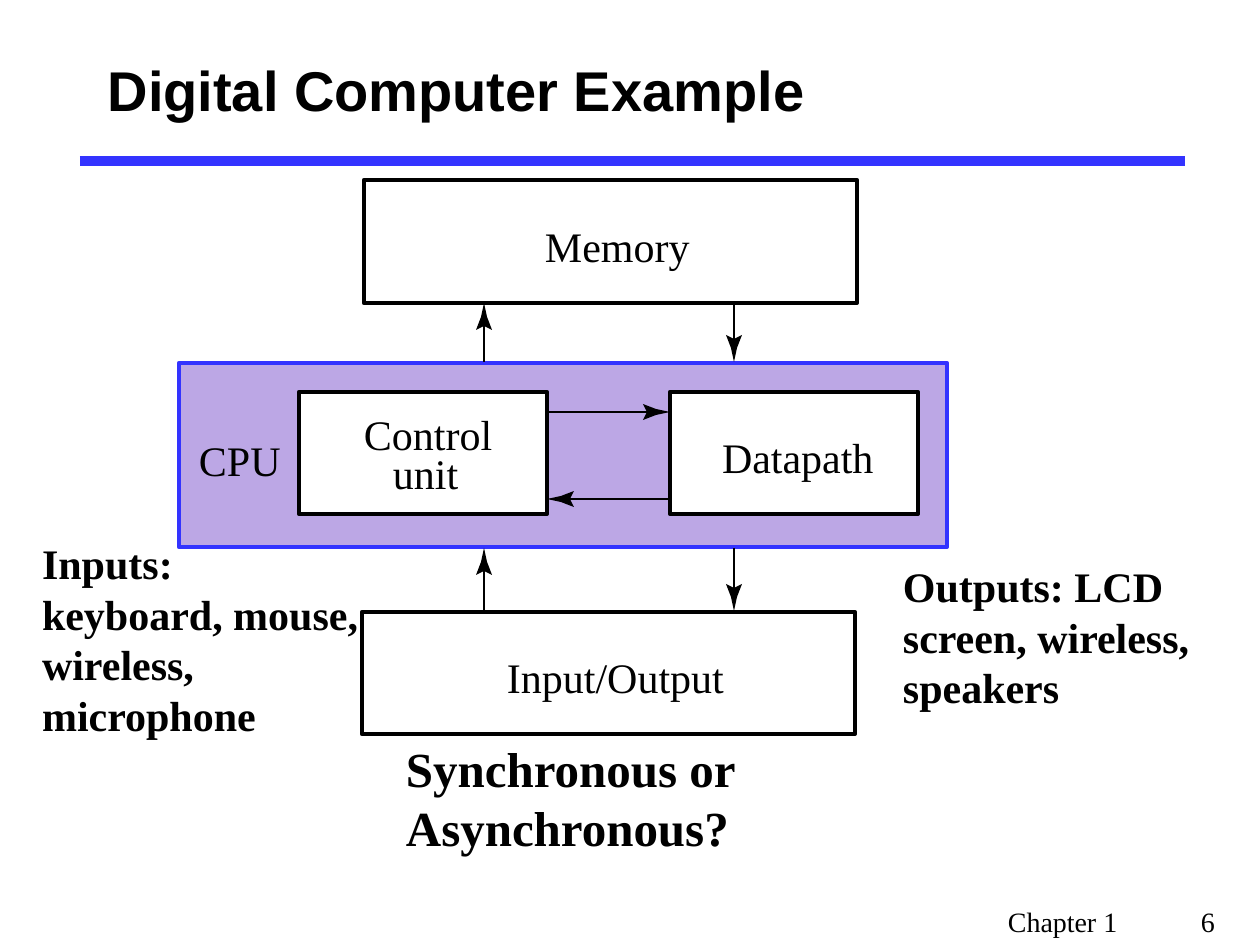
from math import hypot

from lxml.etree import SubElement
from pptx import Presentation
from pptx.dml.color import RGBColor
from pptx.enum.shapes import MSO_CONNECTOR as CONN, MSO_SHAPE as SHAPE
from pptx.enum.text import MSO_ANCHOR as ANCHOR, PP_ALIGN as ALIGN
from pptx.oxml.ns import qn
from pptx.util import Emu, Pt

SCALE = 914400 / 126
COLORS = {"ink": "000000", "paper": "FFFFFF", "accent": "3333FF", "cpu": "BCA7E5"}
SERIF, SANS = "Times New Roman", "Arial"
INSET_X, INSET_Y = 13, 6
HEAD = [(0, 0), (-14, 3), (-27, 8), (-23, 0), (-27, -8), (-14, -3)]


def px(n):
    return Emu(round(n * SCALE))


def rgb(name):
    return RGBColor.from_string(COLORS[name])


def style(p, font, size, bold=False):
    for r in p.runs:
        r.font.name, r.font.size, r.font.bold = font, Pt(size), bold
        r.font.color.rgb = rgb("ink")


def add_title(s, text, x, y, w, h):
    sp = s.shapes.title
    sp.left, sp.top, sp.width, sp.height = map(px, (x, y, w, h))
    tf = sp.text_frame
    tf.text = text
    tf.vertical_anchor = ANCHOR.MIDDLE
    p = tf.paragraphs[0]
    p.alignment = ALIGN.LEFT
    style(p, SANS, 32, True)


def add_text(s, text, x, y, w, h, size=24, bold=False, inset=True):
    """Add serif text; without inset it is a one-line label that never wraps."""
    sp = s.shapes.add_textbox(*map(px, (x, y, w, h)))
    tf = sp.text_frame
    tf.word_wrap = inset
    tf.margin_left = tf.margin_right = px(INSET_X if inset else 0)
    tf.margin_top = tf.margin_bottom = px(INSET_Y if inset else 0)
    tf.text = text
    p = tf.paragraphs[0]
    p.alignment = ALIGN.LEFT
    p.line_spacing = Pt(size * 1.2)
    style(p, SERIF, size, bold)
    return p


def add_footer(s, chapter, number):
    p = add_text(s, f"{chapter}\t{number}", 995, 898, 264, 47, size=16)
    tabs = SubElement(p._p.get_or_add_pPr(), qn("a:tabLst"))
    SubElement(tabs, qn("a:tab"), pos=str(px(193)), algn="l")


def add_box(s, x, y, w, h, fill=None, line="ink"):
    sp = s.shapes.add_shape(SHAPE.RECTANGLE, *map(px, (x, y, w, h)))
    sp.shadow.inherit = False
    if fill:
        sp.fill.solid()
        sp.fill.fore_color.rgb = rgb(fill)
    else:
        sp.fill.background()
    sp.line.color.rgb = rgb(line)
    sp.line.width = Pt(2.5)


def add_line(s, x1, y1, x2, y2, color="ink", width=1.13):
    c = s.shapes.add_connector(CONN.STRAIGHT, *map(px, (x1, y1, x2, y2)))
    c.line.color.rgb = rgb(color)
    c.line.width = Pt(width)
    SubElement(c._element.spPr, qn("a:effectLst"))


def add_arrow(s, x1, y1, x2, y2):
    """Draw a shaft and a barbed head, larger than the built-in arrowheads."""
    length = hypot(x2 - x1, y2 - y1)
    ux, uy = (x2 - x1) / length, (y2 - y1) / length
    add_line(s, x1, y1, round(x2 - 20 * ux), round(y2 - 20 * uy))
    points = [(x2 + a * ux - b * uy, y2 + a * uy + b * ux) for a, b in HEAD]
    builder = s.shapes.build_freeform(*points[0], scale=SCALE)
    builder.add_line_segments(points[1:], close=True)
    sp = builder.convert_to_shape()
    sp.shadow.inherit = False
    sp.fill.solid()
    sp.fill.fore_color.rgb = rgb("ink")
    sp.line.fill.background()


def main():
    prs = Presentation()
    prs.slide_width, prs.slide_height = px(1260), px(945)
    s = prs.slides.add_slide(prs.slide_layouts[5])

    add_line(s, 80, 161, 1185, 161, "accent", 6)
    add_footer(s, "Chapter 1", 6)
    add_title(s, "Digital Computer Example", 95, 31, 1071, 116)

    for text, x, y, w, h, size in [
        ("Synchronous or Asynchronous?", 393, 733, 387, 131, 28),
        ("Inputs: keyboard, mouse, wireless, microphone", 29, 532, 345, 214, 24),
        ("Outputs: LCD screen, wireless, speakers", 890, 555, 325, 164, 24),
    ]:
        add_text(s, text, x, y, w, h, size, bold=True)

    add_box(s, 179, 363, 768, 184, "cpu", "accent")
    add_box(s, 364, 180, 493, 123)
    add_box(s, 362, 612, 493, 122)
    for x in (299, 670):
        add_box(s, x, 392, 248, 122, "paper")

    for text, x, y, w in [
        ("Memory", 545, 221, 152),
        ("Control", 364, 409, 136),
        ("unit", 393, 448, 72),
        ("Datapath", 722, 432, 160),
        ("Input/Output", 507, 652, 224),
        ("CPU", 199, 435, 88),
    ]:
        add_text(s, text, x, y, w, 50, inset=False)

    for top, bottom in ((303, 362), (548, 611)):
        add_arrow(s, 484, bottom, 484, top)
        add_arrow(s, 734, top, 734, bottom)
    add_arrow(s, 547, 412, 670, 412)
    add_arrow(s, 670, 499, 547, 499)

    prs.save("out.pptx")


if __name__ == "__main__":
    main()
